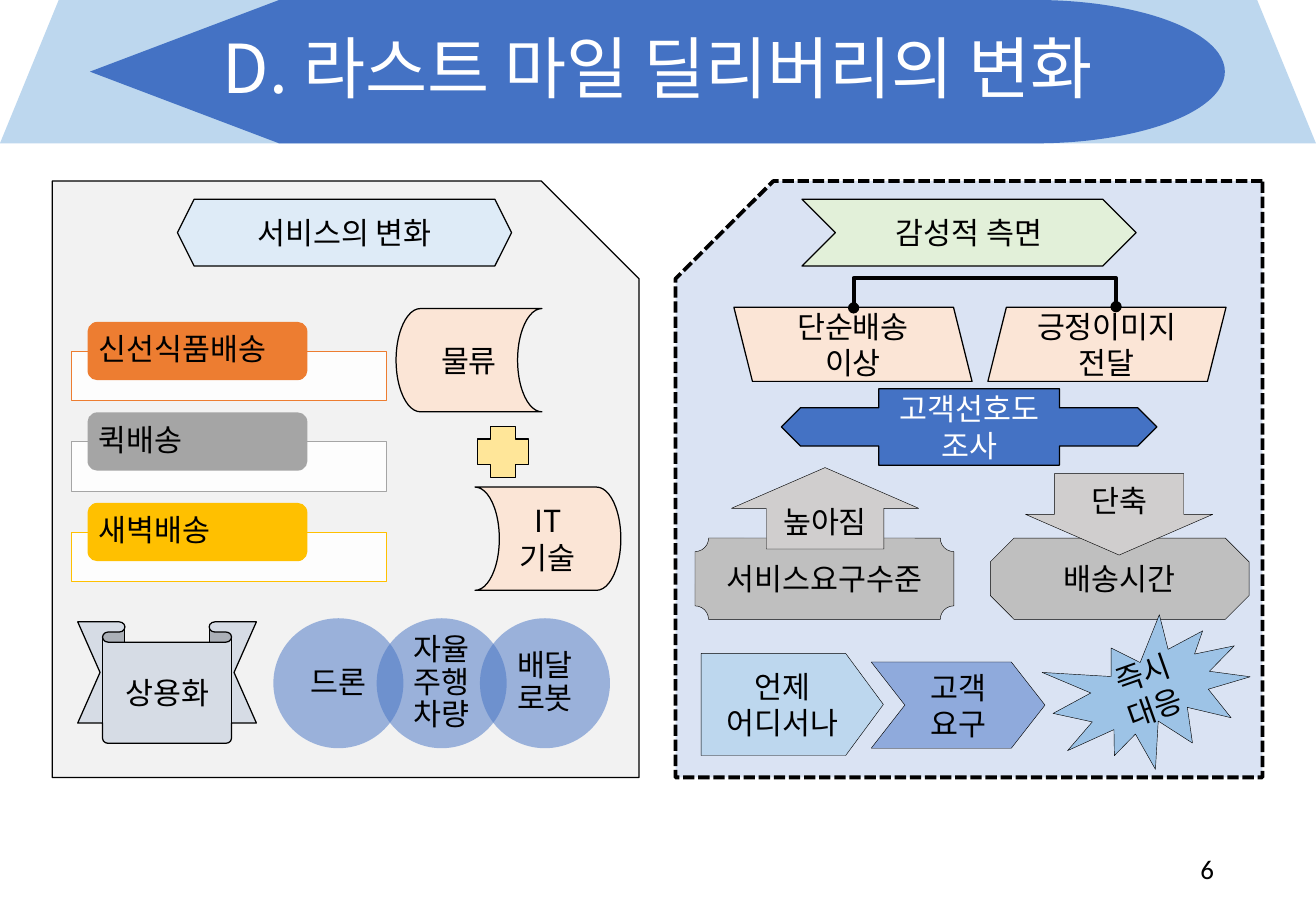
import pptx
import pptx.util
import pptx.dml.color
import pptx.enum.dml
import pptx.enum.shapes
import pptx.enum.text
import pptx.oxml.ns
from lxml import etree

Inches = pptx.util.Inches
KIND = pptx.enum.shapes.MSO_SHAPE
ALIGN = pptx.enum.text.PP_ALIGN
MIDDLE = pptx.enum.text.MSO_ANCHOR.MIDDLE
DASH = pptx.enum.dml.MSO_LINE.SQUARE_DOT
qn = pptx.oxml.ns.qn
FONT = "Noto Sans CJK KR"
COLORS = {
    "black": "000000", "white": "FFFFFF", "blue": "4472C4", "sky": "BDD7EE",
    "ice": "DEEBF7", "mist": "DAE3F3", "pale": "F2F2F2", "mint": "E2F0D9",
    "peach": "FBE5D6", "orange": "ED7D31", "gray": "A5A5A5", "gold": "FFC000",
    "steel": "D6DCE5", "cream": "FFE699", "denim": "8FAADC", "azure": "9DC3E6",
    "stone": "BFBFBF", "ash": "D0CECE",
}


def color(name):
    """Return the named colour."""
    return pptx.dml.color.RGBColor.from_string(COLORS[name])


def write(shape, text, size=18, ink="black", font=FONT, align=ALIGN.CENTER,
          space=1.0, pads=(0.1, 0.05)):
    """Fill a shape with formatted text, one paragraph per line."""
    frame = shape.text_frame
    frame.word_wrap = True
    frame.auto_size = pptx.enum.text.MSO_AUTO_SIZE.NONE
    frame.vertical_anchor = MIDDLE
    frame.margin_left = frame.margin_right = Inches(pads[0])
    frame.margin_top = frame.margin_bottom = Inches(pads[1])
    frame.text = text
    for para in frame.paragraphs:
        para.alignment = align
        para.line_spacing = space
        for run in para.runs:
            run.font.name = font
            run.font.size = pptx.util.Pt(size)
            run.font.color.rgb = color(ink)
            east = etree.SubElement(run._r.get_or_add_rPr(), qn("a:ea"))
            east.set("typeface", font)


def draw(slide, base, kind, spot, fill, text="", line=0.75, edge="black",
         dash=None, alpha=100, flip=False, turn=0, adjust=(), **style):
    """Draw a shape at a spot measured from the corner of a base box."""
    x, y, w, h = spot
    shape = slide.shapes.add_shape(kind, Inches(base[0] + x), Inches(base[1] + y),
                                   Inches(w), Inches(h))
    shape.shadow.inherit = False
    shape.rotation = turn
    for i, value in enumerate(adjust):
        shape.adjustments[i] = value
    shape.fill.solid()
    shape.fill.fore_color.rgb = color(fill)
    if alpha < 100:
        tint = shape._element.spPr.find(".//" + qn("a:srgbClr"))
        etree.SubElement(tint, qn("a:alpha")).set("val", str(alpha * 1000))
    if line:
        shape.line.color.rgb = color(edge)
        shape.line.width = pptx.util.Pt(line)
        if dash:
            shape.line.dash_style = dash
    else:
        shape.line.fill.background()
    if flip:
        shape._element.spPr.find(qn("a:xfrm")).set("flipH", "1")
    if text:
        write(shape, text, **style)
    return shape


def banner(slide, box):
    """Draw the heading band and set the title on it."""
    x, y, w, h = box
    draw(slide, box, KIND.TRAPEZOID, (0, 0, w, h), "sky", line=0, adjust=[0.41])
    draw(slide, box, KIND.FLOWCHART_DISPLAY, (0.74, 0, 9.34, h), "blue", line=0)
    title = slide.shapes.title
    title.left, title.top, title.width, title.height = map(Inches, box)
    write(title, "D. 라스트 마일 딜리버리의 변화", size=40, ink="white", space=0.9)
    slide.shapes._spTree.append(title._element)


def service(slide, box):
    """Draw the panel on changes in service."""
    draw(slide, box, KIND.SNIP_1_RECTANGLE, (0, 0, box[2], box[3]), "pale")
    draw(slide, box, KIND.HEXAGON, (1.03, 0.15, 2.75, 0.55), "ice", "서비스의 변화")
    goods = [("신선식품배송", "orange"), ("퀵배송", "gray"), ("새벽배송", "gold")]
    for i, (name, tone) in enumerate(goods):
        y = 1.16 + 0.745 * i
        draw(slide, box, KIND.RECTANGLE, (0.16, y + 0.24, 2.59, 0.41), "white",
             line=0.5, edge=tone, alpha=90)
        draw(slide, box, KIND.ROUNDED_RECTANGLE, (0.29, y, 1.81, 0.48), tone, name,
             line=0, align=ALIGN.LEFT, space=0.9, pads=(0.07, 0))
    draw(slide, box, KIND.DOWN_RIBBON, (0.21, 3.63, 1.47, 1), "steel", "상용화",
         adjust=[0.167, 0.722])
    for i, name in enumerate(["드론", "자율주행차량", "배달로봇"]):
        draw(slide, box, KIND.OVAL, (1.82 + 0.85 * i, 3.6, 1.07, 1.07), "blue", name,
             line=0, alpha=50, space=0.9, pads=(0.06, 0.03))
    draw(slide, box, KIND.CROSS, (3.5, 2.02, 0.42, 0.42), "cream")
    store = KIND.FLOWCHART_STORED_DATA
    draw(slide, box, store, (2.83, 1.05, 1.2, 0.85), "peach", "물류")
    draw(slide, box, store, (3.48, 2.52, 1.2, 0.85), "peach", "IT 기술", flip=True)


def bracket(slide, base, spot):
    """Draw a dotted-end elbow line that rises over two shapes."""
    x, y, w, h = spot
    elbow = slide.shapes.add_connector(pptx.enum.shapes.MSO_CONNECTOR.ELBOW, 0, 0, 0, 0)
    elbow.left, elbow.top = Inches(base[0] + x), Inches(base[1] + y)
    elbow.width, elbow.height = Inches(w), Inches(h)
    elbow.line.color.rgb = color("black")
    elbow.line.width = pptx.util.Pt(2.25)
    props = elbow._element.spPr
    for key, value in {"rot": "5400000", "flipH": "1", "flipV": "1"}.items():
        props.find(qn("a:xfrm")).set(key, value)
    guide = etree.SubElement(props.find(".//" + qn("a:avLst")), qn("a:gd"))
    guide.set("name", "adj1")
    guide.set("fmla", "val 2500000")
    for end in ("a:headEnd", "a:tailEnd"):
        etree.SubElement(props.find(qn("a:ln")), qn(end)).set("type", "oval")
    etree.SubElement(props, qn("a:effectLst"))


def feeling(slide, box):
    """Draw the panel on the emotional side."""
    draw(slide, box, KIND.SNIP_1_RECTANGLE, (0, 0, box[2], box[3]), "mist",
         line=2.25, dash=DASH, flip=True)
    draw(slide, box, KIND.CHEVRON, (1.04, 0.15, 2.75, 0.55), "mint", "감성적 측면")
    slant = KIND.PARALLELOGRAM
    draw(slide, box, slant, (2.57, 1.04, 1.96, 0.61), "peach", "긍정이미지\n전달")
    draw(slide, box, slant, (0.48, 1.04, 1.96, 0.61), "peach", "단순배송 이상", flip=True)
    draw(slide, box, KIND.LEFT_RIGHT_ARROW_CALLOUT, (0.87, 1.71, 3.09, 0.63), "blue",
         "고객선호도 조사", ink="white", adjust=[0.5, 0.25, 0.25, 0.481])
    bracket(slide, box, (2.54, -0.04, 0.01, 2.16))
    thin = [
        (KIND.PENTAGON, (0.21, 3.89, 1.5, 0.84), "sky", "언제\n어디서나", [0.369]),
        (KIND.CHEVRON, (1.61, 3.96, 1.43, 0.71), "denim", "고객\n요구", [0.39]),
        (KIND.PLAQUE, (0.16, 2.94, 2.13, 0.67), "stone", "서비스요구수준", []),
        (KIND.UP_ARROW, (0.46, 2.36, 1.54, 0.67), "ash", "높아짐", [0.628, 0.5]),
        (KIND.OCTAGON, (2.59, 2.94, 2.13, 0.67), "stone", "배송시간", []),
        (KIND.DOWN_ARROW, (2.88, 2.41, 1.54, 0.67), "ash", "단축", [0.691, 0.5]),
    ]
    for kind, spot, fill, text, adjust in thin:
        draw(slide, box, kind, spot, fill, text, line=0.25, adjust=adjust)
    draw(slide, box, KIND.EXPLOSION1, (3.1, 3.63, 1.63, 1.19), "azure", "즉시\n대응",
         line=0.25, turn=340.5)


def number(slide, box):
    """Write the page number."""
    write(slide.shapes.add_textbox(*map(Inches, box)), "6", size=16, font="Calibri",
          align=ALIGN.RIGHT)


def main():
    """Build and save the slide."""
    deck = pptx.Presentation()
    deck.slide_width, deck.slide_height = Inches(10.83), Inches(7.5)
    slide = deck.slides.add_slide(deck.slide_layouts[5])
    banner(slide, (0, 0, 10.83, 1.18))
    service(slide, (0.43, 1.49, 4.83, 4.91))
    feeling(slide, (5.56, 1.49, 4.83, 4.91))
    number(slide, (7.65, 6.95, 2.44, 0.4))
    deck.save("out.pptx")


if __name__ == "__main__":
    main()
